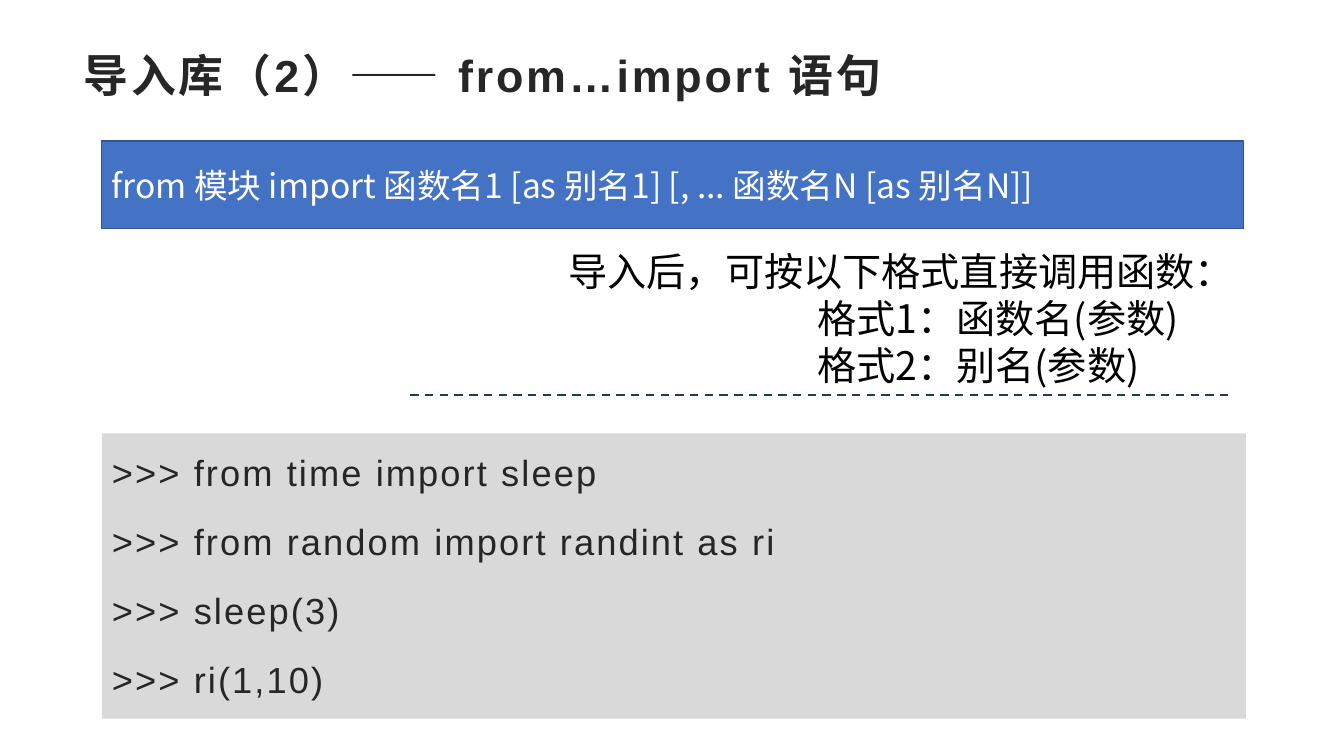
"""Build a slide on the from…import statement in Python."""
from dataclasses import dataclass

from lxml import etree
from pptx import Presentation
from pptx import util as u
from pptx.dml.color import RGBColor
from pptx.enum import dml, shapes, text
from pptx.oxml.ns import qn

TITLE = ["导入库（2）—— from…import 语句"]
SYNTAX = ["from 模块 import 函数名1 [as 别名1] [, ... 函数名N [as 别名N]]"]
USAGE_HEADING = "导入后，可按以下格式直接调用函数："
USAGE_FORMATS = ["格式1：函数名(参数)", "格式2：别名(参数)"]
CODE = [
    ">>> from time import sleep",
    ">>> from random import randint as ri",
    ">>> sleep(3)",
    ">>> ri(1,10)",
]


@dataclass(frozen=True)
class Theme:
    """Colours, fonts and type sizes of the slide."""
    ink: str = "262626"
    black: str = "000000"
    white: str = "FFFFFF"
    banner: str = "4472C4"
    banner_edge: str = "325491"
    panel: str = "D9D9D9"
    rule: str = "203864"
    latin: str = "Arial"
    chinese: str = "Noto Sans CJK SC"
    title_size: float = 32
    code_size: float = 25.9
    syntax_size: float = 24
    usage_size: float = 28


THEME = Theme()
LEFT = 72.72
USAGE_LEFT, USAGE_TOP, USAGE_HEIGHT = 293.04, 172.8, 108.72
RULE_RIGHT, RULE_Y = 879.84, 282.24
FORMAT_INDENT = 283.68
BOXES = {
    "title": (52.56, 34.56, 854.64, 56.16),
    "code": (LEFT, 309.6, 817.2, 203.76),
    "syntax": (LEFT, 100.8, 815.76, 62.64),
    "usage": (USAGE_LEFT, USAGE_TOP, 595.44, USAGE_HEIGHT),
}


def colour(value):
    """Turn a hex string into a colour."""
    return RGBColor.from_string(value)


def set_attributes(target, values):
    """Set each named attribute on the target."""
    for name, value in values.items():
        setattr(target, name, value)


def place(shape, box):
    """Move and size a shape in points."""
    names = ("left", "top", "width", "height")
    set_attributes(shape, dict(zip(names, map(u.Pt, box))))


def write(shape, lines, font, ink, layout, frame, spacing=0, indents=()):
    """Write one formatted paragraph per line."""
    text_frame = shape.text_frame
    set_attributes(text_frame, {"word_wrap": True, **frame})
    for index, line in enumerate(lines):
        paragraph = text_frame.paragraphs[0] if index == 0 else text_frame.add_paragraph()
        properties = paragraph._p.get_or_add_pPr()
        properties.set("marL", str(u.Pt(indents[index] if indents else 0)))
        properties.set("indent", "0")
        etree.SubElement(properties, qn("a:buNone"))
        set_attributes(paragraph, {"alignment": text.PP_ALIGN.LEFT, "space_before": u.Pt(0), **layout})
        run = paragraph.add_run()
        run.text = line
        set_attributes(run.font, font)
        run.font.color.rgb = colour(ink)
        run_properties = run.font._element
        run_properties.set("spc", str(int(spacing * 100)))
        east_asian = etree.SubElement(run_properties, qn("a:ea"))
        east_asian.set("typeface", THEME.chinese)


def build():
    """Create the presentation and save it."""
    presentation = Presentation()
    set_attributes(presentation, {"slide_width": u.Pt(960), "slide_height": u.Pt(540)})
    slide = presentation.slides.add_slide(presentation.slide_layouts[1])
    fixed = {"auto_size": text.MSO_AUTO_SIZE.NONE, "vertical_anchor": text.MSO_ANCHOR.TOP}

    title = slide.shapes.title
    place(title, BOXES["title"])
    write(title, TITLE, {"size": u.Pt(THEME.title_size), "name": THEME.latin, "bold": True},
          THEME.ink, {"line_spacing": 0.9}, fixed, spacing=2)

    code = slide.placeholders[1]
    place(code, BOXES["code"])
    code.fill.solid()
    code.fill.fore_color.rgb = colour(THEME.panel)
    write(code, CODE, {"size": u.Pt(THEME.code_size), "name": THEME.latin}, THEME.ink,
          {"line_spacing": 1.28, "space_after": u.Pt(9.3)}, fixed, spacing=1.5)

    syntax = slide.shapes.add_shape(shapes.MSO_SHAPE.RECTANGLE, *map(u.Pt, BOXES["syntax"]))
    syntax.shadow.inherit = False
    syntax.fill.solid()
    syntax.fill.fore_color.rgb = colour(THEME.banner)
    syntax.line.color.rgb = colour(THEME.banner_edge)
    syntax.line.width = u.Pt(1)
    write(syntax, SYNTAX, {"size": u.Pt(THEME.syntax_size), "name": THEME.chinese},
          THEME.white, {}, {"vertical_anchor": text.MSO_ANCHOR.MIDDLE})

    usage = slide.shapes.add_textbox(*map(u.Pt, BOXES["usage"]))
    write(usage, [USAGE_HEADING, *USAGE_FORMATS],
          {"size": u.Pt(THEME.usage_size), "name": THEME.chinese}, THEME.black, {},
          {"auto_size": text.MSO_AUTO_SIZE.SHAPE_TO_FIT_TEXT},
          indents=[0] + [FORMAT_INDENT] * len(USAGE_FORMATS))
    usage.text_frame.paragraphs[0].alignment = text.PP_ALIGN.RIGHT

    ends = (USAGE_LEFT, RULE_Y, RULE_RIGHT, RULE_Y)
    rule = slide.shapes.add_connector(shapes.MSO_CONNECTOR.STRAIGHT, *map(u.Pt, ends))
    rule.line.color.rgb = colour(THEME.rule)
    set_attributes(rule.line, {"width": u.Pt(1.5), "dash_style": dml.MSO_LINE.DASH})
    etree.SubElement(rule._element.spPr, qn("a:effectLst"))

    presentation.save("out.pptx")


if __name__ == "__main__":
    build()
